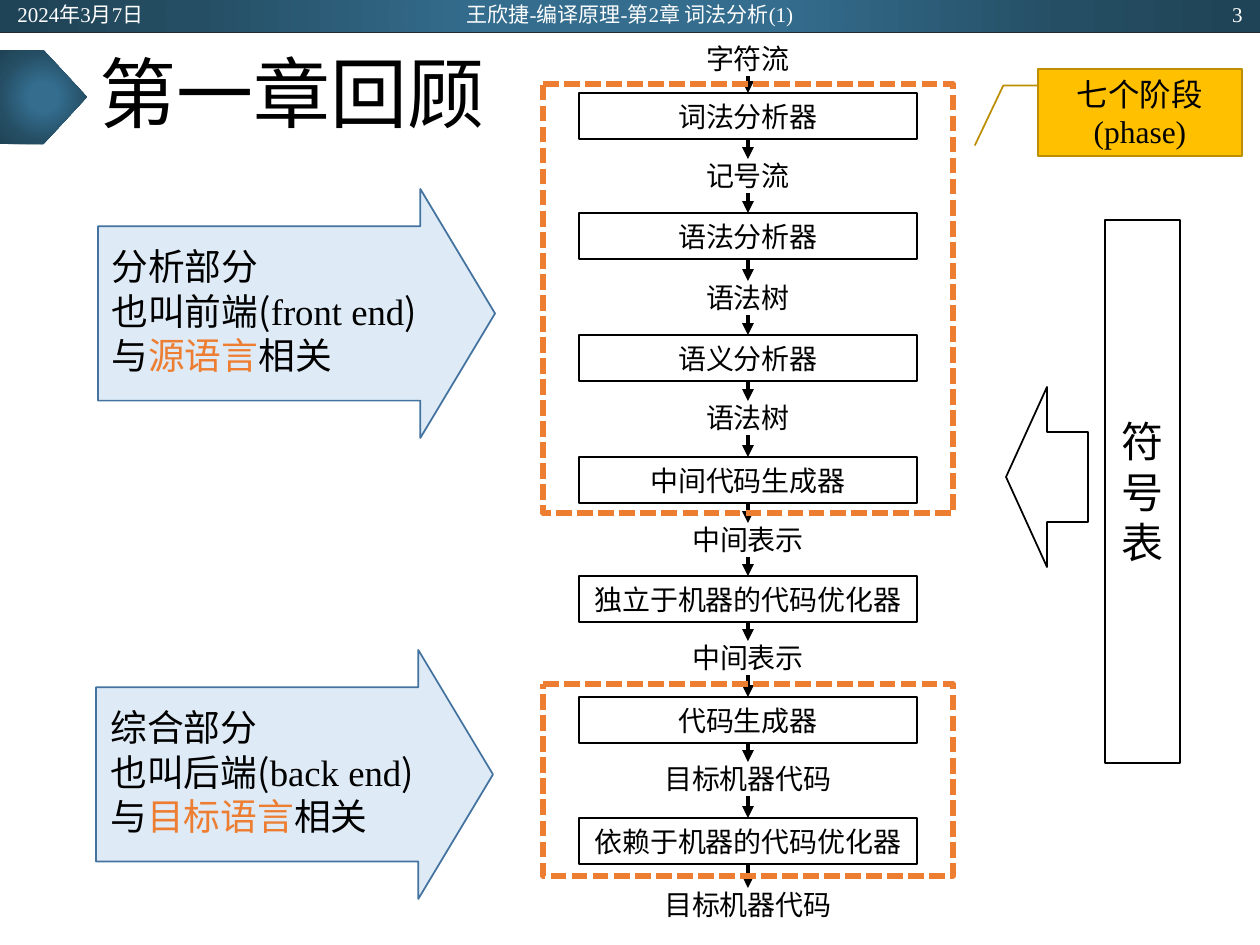
from dataclasses import dataclass
from itertools import pairwise

from lxml import etree
from pptx import Presentation
from pptx import util as u
from pptx.dml.color import RGBColor
from pptx.enum import dml, shapes, text
from pptx.oxml import parse_xml
from pptx.oxml.ns import nsdecls, qn

EMU_PER_PX = 914400 / 126
SERIF, SANS = "Times New Roman", "Noto Sans CJK SC"
COLORS = {
    "black": "000000", "white": "FFFFFF", "orange": "ED7D31", "navy": "222A35",
    "pale": "DEEBF7", "blue": "43739E", "gold": "FFC000", "dark_gold": "BD8E00",
}
TEAL_STOPS = [(0, "346D8E"), (23, "346D8E"), (69, "254E64"), (97, "204457")]
MSO, ALIGN, ANCHOR = shapes.MSO_SHAPE, text.PP_ALIGN, text.MSO_ANCHOR
CENTER_X = 748


@dataclass
class Box:
    x: int
    y: int
    w: int
    h: int


@dataclass
class Flow:
    """A data label, or a compiler phase when framed."""
    words: str
    y: int
    w: int = 338
    framed: bool = False


@dataclass
class Part:
    arrow: Box
    words: Box
    name: str
    alias: str
    english: str
    language: str


FLOWS = [
    Flow("字符流", 42, 112), Flow("词法分析器", 93, framed=True),
    Flow("记号流", 159, 112), Flow("语法分析器", 213, framed=True),
    Flow("语法树", 281, 112), Flow("语义分析器", 335, framed=True),
    Flow("语法树", 401, 176), Flow("中间代码生成器", 457, framed=True),
    Flow("中间表示", 523, 138), Flow("独立于机器的代码优化器", 576, framed=True),
    Flow("中间表示", 641, 200), Flow("代码生成器", 697, framed=True),
    Flow("目标机器代码", 762, 224), Flow("依赖于机器的代码优化器", 818, framed=True),
    Flow("目标机器代码", 888, 202),
]
PARTS = [
    Part(Box(98, 189, 397, 249), Box(99, 238, 346, 175),
         "分析部分", "也叫前端", "front end", "源语言"),
    Part(Box(96, 650, 397, 249), Box(98, 699, 344, 175),
         "综合部分", "也叫后端", "back end", "目标语言"),
]
FRAMES = [Box(543, 84, 410, 429), Box(543, 684, 410, 192)]


def px(n: float) -> u.Emu:
    return u.Emu(round(n * EMU_PER_PX))


def rgb(name: str) -> RGBColor:
    return RGBColor.from_string(COLORS[name])


def place(b: Box) -> tuple:
    return px(b.x), px(b.y), px(b.w), px(b.h)


def style(p, size: float, color: str = "black", font: str | None = SERIF, align=ALIGN.LEFT):
    p.alignment = align
    p.font.size = u.Pt(size)
    p.font.color.rgb = rgb(color)
    if font:
        p.font.name = font
        def_rpr = p._p.pPr.find(qn("a:defRPr"))
        etree.SubElement(def_rpr, qn("a:ea"), typeface=SANS)


def write(sp, lines: list[str], size: float, color: str = "black",
          align=ALIGN.CENTER, anchor=ANCHOR.MIDDLE):
    tf = sp.text_frame
    tf.word_wrap = True
    tf.vertical_anchor = anchor
    for i, line in enumerate(lines):
        p = tf.add_paragraph() if i else tf.paragraphs[0]
        p.add_run().text = line
        style(p, size, color, align=align)


def add_shape(s, kind, b: Box, fill: str | None = None, line: str | None = None, width: float = 1):
    sp = s.shapes.add_shape(kind, *place(b))
    sp.shadow.inherit = False
    if fill:
        sp.fill.solid()
        sp.fill.fore_color.rgb = rgb(fill)
    else:
        sp.fill.background()
    if line:
        sp.line.color.rgb = rgb(line)
        sp.line.width = u.Pt(width)
    else:
        sp.line.fill.background()
    return sp


def add_teal(s, kind, b: Box):
    """Shape with a round gradient, light in the middle."""
    sp = add_shape(s, kind, b)
    stops = "".join(f'<a:gs pos="{pos * 1000}"><a:srgbClr val="{c}"/></a:gs>'
                    for pos, c in TEAL_STOPS)
    grad = parse_xml(
        f'<a:gradFill {nsdecls("a")} rotWithShape="1"><a:gsLst>{stops}</a:gsLst>'
        '<a:path path="circle"><a:fillToRect l="50000" t="50000" r="50000" b="50000"/>'
        '</a:path></a:gradFill>')
    sp_pr = sp._element.spPr
    sp_pr.replace(sp_pr.find(qn("a:noFill")), grad)


def add_text(s, b: Box, words: str, size: float, color: str = "black",
             align=ALIGN.LEFT, anchor=ANCHOR.MIDDLE):
    sp = s.shapes.add_textbox(*place(b))
    write(sp, [words], size, color, align, anchor)
    return sp


def add_line(s, x1: int, y1: int, x2: int, y2: int, color: str, width: float):
    c = s.shapes.add_connector(shapes.MSO_CONNECTOR.STRAIGHT, px(x1), px(y1), px(x2), px(y2))
    c.line.color.rgb = rgb(color)
    c.line.width = u.Pt(width)
    etree.SubElement(c._element.spPr, qn("a:effectLst"))
    return c


def add_flow(s, f: Flow):
    b = Box(CENTER_X - f.w // 2, f.y, f.w, 46 if f.framed else 34)
    if f.framed:
        sp = add_shape(s, MSO.RECTANGLE, b, "white", "black")
        write(sp, [f.words], 16)
    else:
        sp = add_text(s, b, f.words, 16, align=ALIGN.CENTER, anchor=ANCHOR.TOP)
        sp.text_frame.margin_top = sp.text_frame.margin_bottom = 0
        sp.text_frame.auto_size = text.MSO_AUTO_SIZE.SHAPE_TO_FIT_TEXT
    return sp


def join(s, upper, lower):
    c = add_line(s, CENTER_X, 0, CENTER_X, 0, "black", 2.25)
    c.begin_connect(upper, 2)
    c.end_connect(lower, 0)
    etree.SubElement(c.line._get_or_add_ln(), qn("a:tailEnd"), type="triangle")


def add_part(s, part: Part):
    sp = add_shape(s, MSO.RIGHT_ARROW, part.arrow, "pale", "blue")
    sp.adjustments[0], sp.adjustments[1] = 0.7, 0.3
    tf = s.shapes.add_textbox(*place(part.words)).text_frame
    tf.word_wrap = False
    tf.auto_size = text.MSO_AUTO_SIZE.SHAPE_TO_FIT_TEXT
    lines = [[part.name], [part.alias + "(", part.english, ")"], ["与", part.language, "相关"]]
    for i, runs in enumerate(lines):
        p = tf.add_paragraph() if i else tf.paragraphs[0]
        style(p, 21, font=SANS)
        for words in runs:
            r = p.add_run()
            r.text = words
            if words == part.english:
                r.font.name = SERIF
            elif words == part.language:
                r.font.color.rgb = rgb("orange")


def main():
    prs = Presentation()
    prs.slide_width, prs.slide_height = px(1260), px(945)
    s = prs.slides.add_slide(prs.slide_layouts[6])

    # Header band and title
    add_teal(s, MSO.RECTANGLE, Box(0, 0, 1260, 32))
    add_line(s, 0, 32, 1260, 32, "navy", 0.5)
    add_teal(s, MSO.PENTAGON, Box(0, 50, 87, 94))
    title = add_text(s, Box(87, 32, 1086, 131), "第一章回顾", 44)
    title.text_frame.paragraphs[0].line_spacing = 0.9
    add_text(s, Box(5, 2, 283, 25), "2024年3月7日", 12, "white")
    add_text(s, Box(417, 2, 426, 25), "王欣捷-编译原理-第2章 词法分析(1)", 12, "white", ALIGN.CENTER)
    add_text(s, Box(972, 2, 283, 25), "3", 12, "white", ALIGN.RIGHT)

    # Chain of phases
    chain = [add_flow(s, f) for f in FLOWS]
    for upper, lower in pairwise(chain):
        join(s, upper, lower)
    for b in FRAMES:
        frame = add_shape(s, MSO.FLOWCHART_PROCESS, b, line="orange", width=3)
        frame.line.dash_style = dml.MSO_LINE.SQUARE_DOT

    # Front end and back end
    for part in PARTS:
        add_part(s, part)

    # Callout
    callout = add_shape(s, MSO.LINE_CALLOUT_2, Box(1038, 69, 204, 87), "gold", "dark_gold")
    for i, value in enumerate([0.19, 0, 0.19, -0.17, 0.88, -0.31]):
        callout.adjustments[i] = value
    write(callout, ["七个阶段(phase)"], 18)

    # Symbol table
    table = add_shape(s, MSO.RECTANGLE, Box(1105, 220, 75, 543), "white", "black")
    write(table, list("符号表"), 24)
    add_shape(s, MSO.LEFT_ARROW, Box(1006, 387, 82, 180), "white", "black")

    prs.save("out.pptx")


if __name__ == "__main__":
    main()
